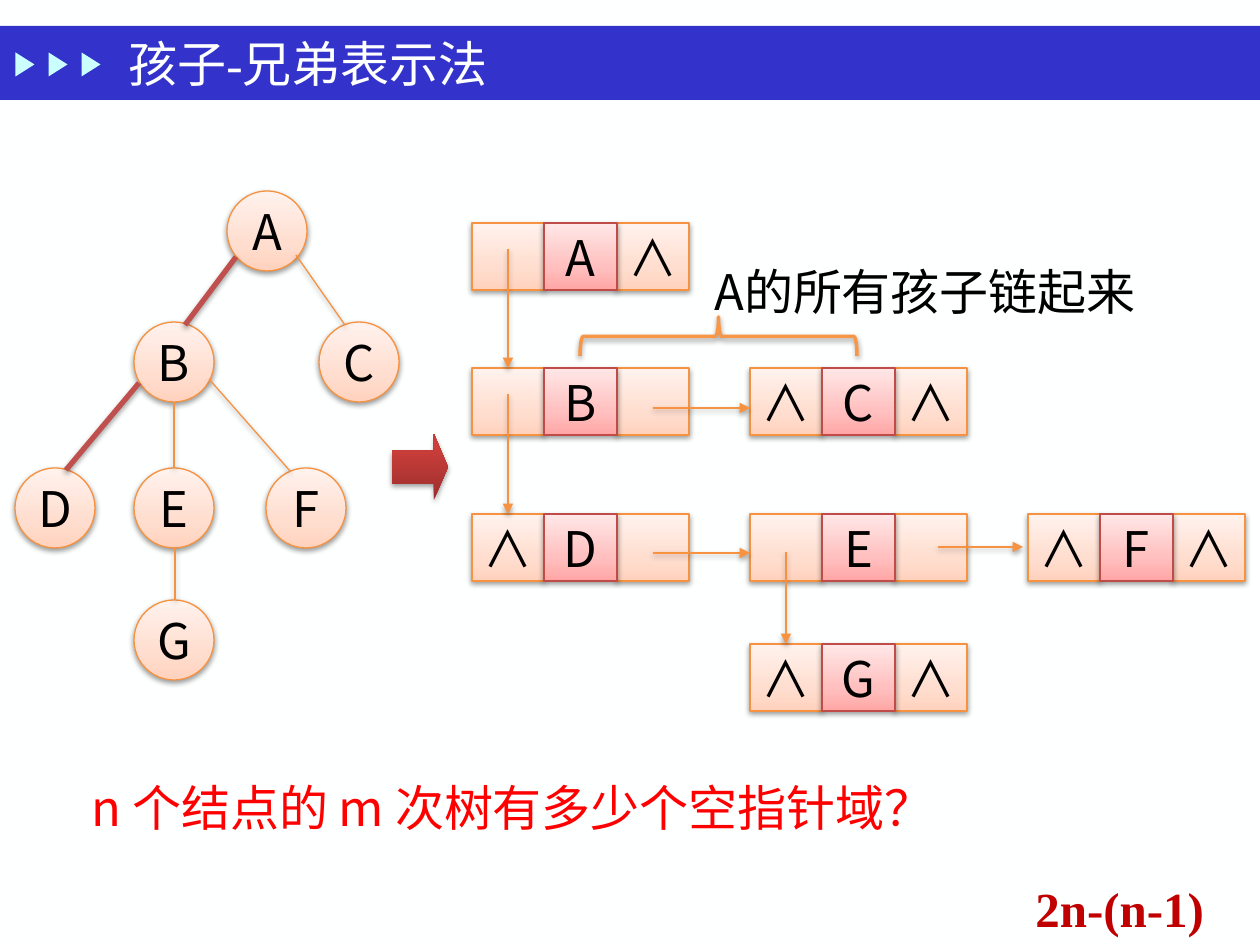
from lxml.etree import SubElement
from pptx import Presentation
from pptx.dml.color import RGBColor
from pptx.enum.shapes import MSO_CONNECTOR, MSO_SHAPE
from pptx.enum.text import MSO_ANCHOR, PP_ALIGN
from pptx.oxml.ns import qn
from pptx.util import Emu, Pt

SANS, SERIF = "Noto Sans CJK SC", "Times New Roman"
PAPER = RGBColor(0xFE, 0xFF, 0xFF)
BAND = RGBColor(0x33, 0x33, 0xCC)
MARKER = RGBColor(0xCB, 0xFF, 0xFF)
BLACK = RGBColor(0, 0, 0)
QUESTION = RGBColor(0xFF, 0, 0)
ANSWER = RGBColor(0xC0, 0, 0)
ORANGE = RGBColor(0xF6, 0x92, 0x40)
BRACE = RGBColor(0xF7, 0x96, 0x46)
RED = RGBColor(0xBF, 0x4C, 0x48)
FIRST_CHILD = RGBColor(0xC0, 0x50, 0x4D)
PEACH_STOPS = ((0, RGBColor(0xFF, 0xD2, 0xBD)), (35, RGBColor(0xFF, 0xDE, 0xD0)),
               (100, RGBColor(0xFF, 0xF2, 0xED)))
PINK_STOPS = ((0, RGBColor(0xFF, 0xA6, 0xA5)), (35, RGBColor(0xFF, 0xC0, 0xBF)),
              (100, RGBColor(0xFF, 0xE7, 0xE7)))
RED_STOPS = ((0, RGBColor(0x9C, 0x2F, 0x2D)), (80, RGBColor(0xCB, 0x3E, 0x3A)),
             (100, RGBColor(0xCE, 0x3B, 0x37)))


def px(length):
    """Turn a length in px into EMU."""
    return Emu(round(length * 914400 / 126))


def write(paragraph, text, color, font=SANS, bold=False):
    """Add one formatted run to a paragraph."""
    run = paragraph.add_run()
    run.text = text
    run.font.size = Pt(28)
    run.font.name = font
    run.font.bold = bold
    run.font.color.rgb = color
    SubElement(run.font._element, qn("a:ea"), typeface=SANS)


def add_shadow(shape):
    """Give a finished shape or connector a soft shadow below it."""
    effects = SubElement(shape._element.spPr, qn("a:effectLst"))
    shadow = SubElement(effects, qn("a:outerShdw"), blurRad="40000", dist="20000",
                        dir="5400000", rotWithShape="0")
    color = SubElement(shadow, qn("a:srgbClr"), val="000000")
    SubElement(color, qn("a:alpha"), val="38000")


def set_gradient(shape, stops):
    """Fill a shape from the bottom up with the given colour stops."""
    shape.fill.gradient()
    shape.fill.gradient_angle = 90
    stop_list = shape._element.spPr.find(qn("a:gradFill")).find(qn("a:gsLst"))
    for old_stop in list(stop_list):
        stop_list.remove(old_stop)
    for percent, color in stops:
        stop = SubElement(stop_list, qn("a:gs"), pos=str(percent * 1000))
        SubElement(stop, qn("a:srgbClr"), val=str(color))


def add_plain(slide, kind, box, color):
    """Add a flat shape with neither line nor shadow."""
    shape = slide.shapes.add_shape(kind, *map(px, box))
    shape.fill.solid()
    shape.fill.fore_color.rgb = color
    shape.line.fill.background()
    shape.shadow.inherit = False
    return shape


def add_cell(slide, kind, box, text="", stops=PEACH_STOPS, line_color=ORANGE):
    """Add a shaded shape with a centred label."""
    shape = slide.shapes.add_shape(kind, *map(px, box))
    set_gradient(shape, stops)
    shape.line.color.rgb = line_color
    shape.line.width = Pt(0.75)
    add_shadow(shape)
    frame = shape.text_frame
    frame.word_wrap = False
    frame.vertical_anchor = MSO_ANCHOR.MIDDLE
    paragraph = frame.paragraphs[0]
    paragraph.alignment = PP_ALIGN.CENTER
    if text:
        write(paragraph, text, BLACK)
    return shape


def add_line(slide, start, end, color=ORANGE, width=0.75, arrow=False):
    """Add a shadowed straight line, with an arrowhead if asked."""
    connector = slide.shapes.add_connector(
        MSO_CONNECTOR.STRAIGHT, *map(px, start + end))
    connector.line.color.rgb = color
    connector.line.width = Pt(width)
    if arrow:
        SubElement(connector.line._get_or_add_ln(), qn("a:tailEnd"), type="triangle")
    add_shadow(connector)


def add_text(slide, box, text, color, font=SANS, bold=False):
    """Add a wrapping text box."""
    frame = slide.shapes.add_textbox(*map(px, box)).text_frame
    frame.word_wrap = True
    write(frame.paragraphs[0], text, color, font, bold)


def build_header(slide, left, top, width, height):
    """Place the title band, its markers and the title."""
    add_plain(slide, MSO_SHAPE.RECTANGLE, (left, top, width, height), BAND)
    for index in range(3):
        marker = add_plain(slide, MSO_SHAPE.ISOSCELES_TRIANGLE,
                           (left + 13 + 33 * index, top + 29, 24, 19), MARKER)
        marker.rotation = 90
    title = slide.shapes.title
    title.left, title.top = px(left + 116), px(top)
    title.width, title.height = px(882), px(height)
    title.text_frame.vertical_anchor = MSO_ANCHOR.MIDDLE
    paragraph = title.text_frame.paragraphs[0]
    paragraph.alignment = PP_ALIGN.LEFT
    write(paragraph, "孩子-兄弟表示法", PAPER, SERIF)
    slide.shapes._spTree.append(title._element)


def build_tree(slide, left, top):
    """Draw the tree, with links to first children in bold red."""
    nodes = {"A": (212, 0), "B": (119, 131), "C": (304, 131), "D": (0, 277),
             "E": (119, 277), "F": (251, 277), "G": (119, 409)}
    for name, (x, y) in nodes.items():
        add_cell(slide, MSO_SHAPE.OVAL, (left + x, top + y, 80, 80), name)
    first_child = (FIRST_CHILD, 3)
    sibling = (ORANGE, 0.75)
    edges = (((221, 66), (170, 134), first_child), ((281, 64), (330, 134), sibling),
             ((124, 192), (51, 279), first_child), ((159, 211), (159, 277), sibling),
             ((194, 188), (275, 280), sibling), ((160, 356), (160, 409), sibling))
    for (x1, y1), (x2, y2), style in edges:
        add_line(slide, (left + x1, top + y1), (left + x2, top + y2), *style)


def build_record(slide, left, top, child, name, sibling):
    """Draw one node record: child link, name, sibling link."""
    for offset, text in ((0, child), (145, sibling)):
        add_cell(slide, MSO_SHAPE.RECTANGLE, (left + offset, top, 72, 67), text)
    add_cell(slide, MSO_SHAPE.RECTANGLE, (left + 72, top, 73, 67), name, PINK_STOPS, RED)


def build_linked_list(slide, left, top):
    """Draw the node records on a grid and the links between them."""
    rows = (0, 145, 291, 421)
    records = ((0, 0, "", "A", "∧"), (0, 1, "", "B", ""), (1, 1, "∧", "C", "∧"),
               (0, 2, "∧", "D", ""), (1, 2, "", "E", ""), (2, 2, "∧", "F", "∧"),
               (1, 3, "∧", "G", "∧"))
    for column, row, *texts in records:
        build_record(slide, left + 278 * column, top + rows[row], *texts)
    links = (((36, 26), (36, 145)), ((36, 171), (36, 291)), ((314, 329), (314, 421)),
             ((181, 185), (278, 185)), ((181, 330), (278, 330)), ((466, 324), (551, 324)))
    for (x1, y1), (x2, y2) in links:
        add_line(slide, (left + x1, top + y1), (left + x2, top + y2), arrow=True)


def build_children_note(slide, left, top):
    """Place the remark on the children of A above its brace."""
    brace = slide.shapes.add_shape(
        MSO_SHAPE.LEFT_BRACE, *map(px, (left - 3, top - 57, 39, 277)))
    brace.rotation = 90
    brace.fill.background()
    brace.line.color.rgb = BRACE
    brace.line.width = Pt(2)
    add_shadow(brace)
    add_text(slide, (left, top, 478, 72), "A的所有孩子链起来", BLACK)


def build_slide(presentation):
    """Build the slide on the child-sibling representation."""
    slide = presentation.slides.add_slide(presentation.slide_layouts[5])
    slide.background.fill.solid()
    slide.background.fill.fore_color.rgb = PAPER
    build_header(slide, 0, 26, 1260, 74)
    build_tree(slide, 15, 191)
    arrow = add_cell(slide, MSO_SHAPE.RIGHT_ARROW, (392, 434, 56, 66), stops=RED_STOPS)
    arrow.adjustments[1] = 0.25
    arrow.line.fill.background()
    build_linked_list(slide, 472, 223)
    build_children_note(slide, 702, 255)
    add_text(slide, (79, 771, 888, 72), "n 个结点的 m 次树有多少个空指针域？", QUESTION)
    add_text(slide, (1023, 872, 197, 72), "2n-(n-1)", ANSWER, SERIF, True)


def main():
    """Create and save the presentation."""
    presentation = Presentation()
    presentation.slide_width, presentation.slide_height = px(1260), px(945)
    build_slide(presentation)
    presentation.save("out.pptx")


if __name__ == "__main__":
    main()
